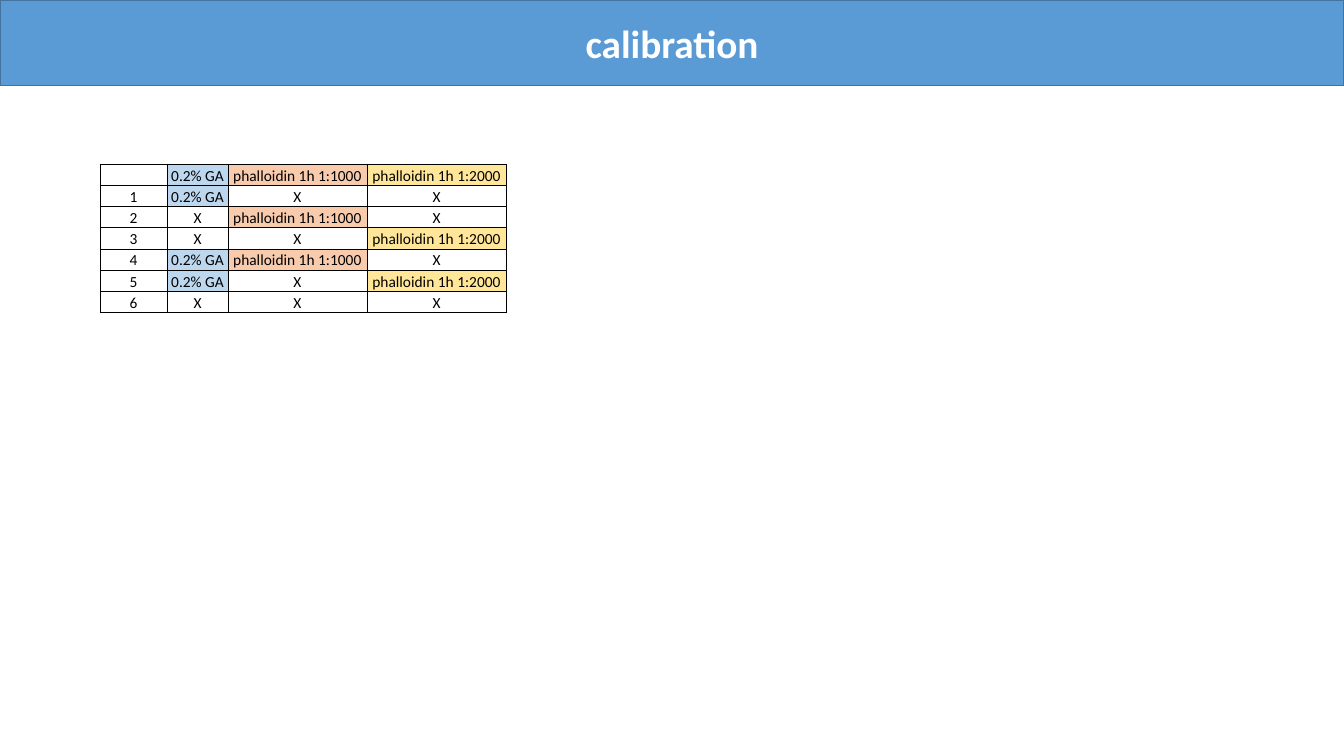
"""Build the calibration slide: a title band and a table of staining conditions."""
from dataclasses import dataclass

from lxml import etree
from pptx import Presentation
from pptx.dml.color import RGBColor
from pptx.enum import text as t
from pptx.oxml import ns
from pptx.util import Inches, Pt


@dataclass(frozen=True)
class Theme:
    font: str = "Calibri"
    band: str = "5B9BD5"
    edge: str = "43739E"
    white: str = "FFFFFF"
    ink: str = "000000"
    tints: tuple = ("BDD7EE", "F8CBAD", "FFE699")
    head: int = 28
    body: int = 11
    rule: float = 0.5


THEME = Theme()
STAINS = ("0.2% GA", "phalloidin 1h 1:1000", "phalloidin 1h 2000".replace("h 2", "h 1:2"))
USED = ((0,), (1,), (2,), (0, 1), (0, 2), ())
WIDTHS = (0.67, 0.6, 1.38, 1.38)
HEIGHT = 0.21


def write(frame, words, size=THEME.body, color=THEME.ink, bold=False):
    para = frame.paragraphs[0]
    para.alignment = t.PP_ALIGN.CENTER
    if not words:
        etree.SubElement(para._p, ns.qn("a:endParaRPr"), sz=str(size * 100))
        return
    run = para.add_run()
    run.text = words
    run.font.name = THEME.font
    run.font.size = Pt(size)
    run.font.bold = bold
    run.font.color.rgb = RGBColor.from_string(color)


def inset(item, left, top, right, bottom):
    item.margin_left, item.margin_top = Inches(left), Inches(top)
    item.margin_right, item.margin_bottom = Inches(right), Inches(bottom)


def border(cell):
    props = cell._tc.get_or_add_tcPr()
    for side in "LRTB":
        line = etree.SubElement(props, ns.qn(f"a:ln{side}"), w=str(Pt(THEME.rule)))
        fill = etree.SubElement(line, ns.qn("a:solidFill"))
        etree.SubElement(fill, ns.qn("a:srgbClr"), val=THEME.ink)


def style(cell, words):
    inset(cell, 0.01, 0.01, 0.01, 0)
    cell.vertical_anchor = t.MSO_ANCHOR.BOTTOM
    border(cell)
    if words in STAINS:
        cell.fill.solid()
        cell.fill.fore_color.rgb = RGBColor.from_string(THEME.tints[STAINS.index(words)])
    else:
        cell.fill.background()
    write(cell.text_frame, words)


def banner(slide, words, width):
    title = slide.shapes.title
    title.left, title.top = Inches(0), Inches(0)
    title.width, title.height = width, Inches(0.85)
    title.fill.solid()
    title.fill.fore_color.rgb = RGBColor.from_string(THEME.band)
    title.line.color.rgb = RGBColor.from_string(THEME.edge)
    title.line.width = Pt(1)
    frame = title.text_frame
    frame.auto_size = t.MSO_AUTO_SIZE.NONE
    frame.vertical_anchor = t.MSO_ANCHOR.MIDDLE
    write(frame, words, size=THEME.head, color=THEME.white, bold=True)


def grid(slide, rows, left, top):
    table = slide.shapes.add_table(
        len(rows), len(WIDTHS), Inches(left), Inches(top),
        Inches(sum(WIDTHS)), Inches(HEIGHT * len(rows))).table
    table.first_row = table.horz_banding = False
    for col, width in zip(table.columns, WIDTHS):
        col.width = Inches(width)
    for row, entries in zip(table.rows, rows):
        row.height = Inches(HEIGHT)
        for cell, words in zip(row.cells, entries):
            style(cell, words)


def main():
    deck = Presentation()
    deck.slide_width, deck.slide_height = Inches(13.33), Inches(7.5)
    slide = deck.slides.add_slide(deck.slide_layouts[5])
    banner(slide, "calibration", deck.slide_width)
    rows = [("", *STAINS)]
    for num, used in enumerate(USED, 1):
        rows.append((str(num), *(s if i in used else "X" for i, s in enumerate(STAINS))))
    grid(slide, rows, 0.99, 1.63)
    deck.save("out.pptx")


if __name__ == "__main__":
    main()
